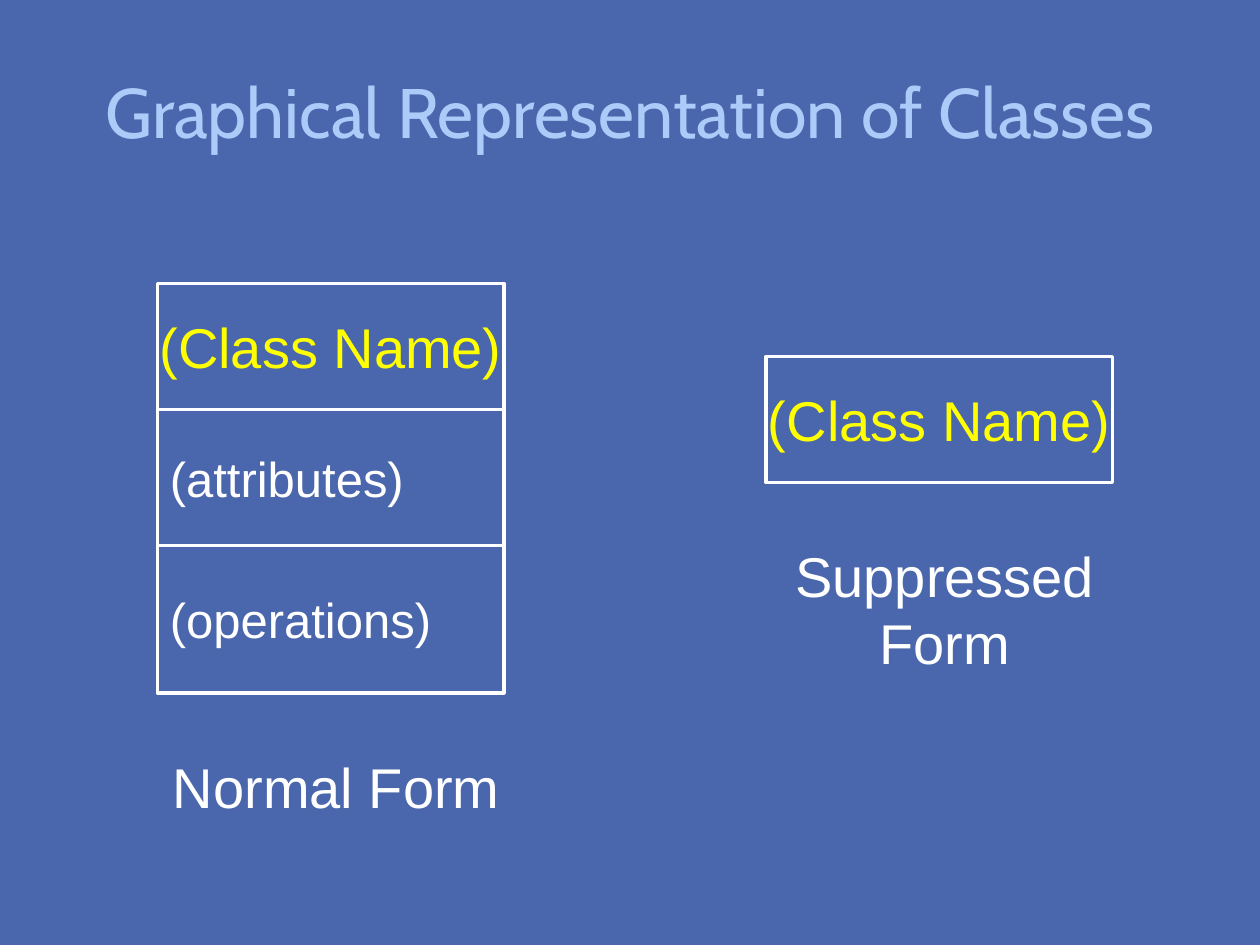
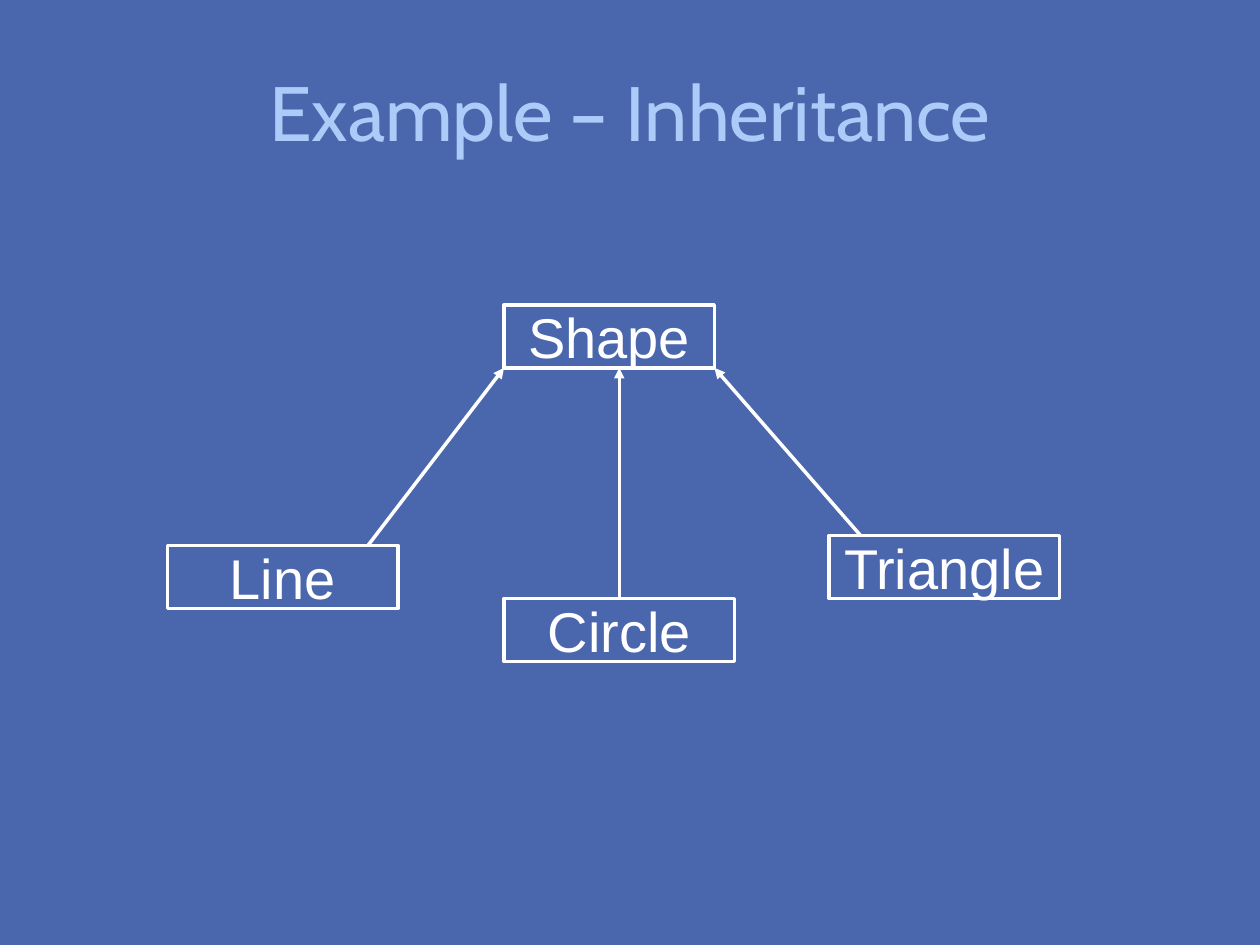
from dataclasses import dataclass

import pptx
import pptx.dml.color
import pptx.enum.shapes
import pptx.enum.text
import pptx.oxml
import pptx.oxml.ns
import pptx.presentation
import pptx.shapes.autoshape
import pptx.slide
import pptx.util
from pptx.util import Inches

Color = pptx.dml.color.RGBColor
Align = pptx.enum.text.PP_ALIGN
Anchor = pptx.enum.text.MSO_ANCHOR


@dataclass(frozen=True)
class Theme:
    background: Color = Color.from_string("4A66AC")
    title: Color = Color.from_string("ACCBF9")
    foreground: Color = Color.from_string("FFFFFF")
    class_name: Color = Color.from_string("FFFF00")
    title_font: str = "Cabin"
    body_font: str = "Arial"
    long_title_size: int = 40
    title_size: int = 44
    label_size: int = 32
    member_size: int = 28
    line_width: int = 2


THEME = Theme()


@dataclass(frozen=True)
class TextStyle:
    size: int = THEME.label_size
    color: Color = THEME.foreground
    font: str = THEME.body_font
    align: Align = Align.CENTER


LABEL = TextStyle()
CLASS_NAME = TextStyle(color=THEME.class_name)
MEMBER = TextStyle(size=THEME.member_size, align=Align.LEFT)


@dataclass(frozen=True)
class Box:
    text: str
    left: float
    top: float
    width: float
    height: float
    style: TextStyle = LABEL

    @property
    def bottom(self) -> float:
        return self.top + self.height

    @property
    def frame(self) -> tuple:
        return tuple(map(Inches, (self.left, self.top, self.width, self.height)))


@dataclass(frozen=True)
class Arrow:
    start: tuple[float, float]
    end: tuple[float, float]


def write_text(
    shape: pptx.shapes.autoshape.Shape, box: Box, wrap: bool, anchor: Anchor
) -> None:
    text_frame = shape.text_frame
    text_frame.word_wrap = wrap
    text_frame.vertical_anchor = anchor
    paragraph = text_frame.paragraphs[0]
    paragraph.alignment = box.style.align
    run = paragraph.add_run()
    run.text = box.text
    run.font.name = box.style.font
    run.font.size = pptx.util.Pt(box.style.size)
    run.font.color.rgb = box.style.color


def add_text(slide: pptx.slide.Slide, box: Box, anchor: Anchor = Anchor.TOP) -> None:
    write_text(slide.shapes.add_textbox(*box.frame), box, True, anchor)


def style_line(line: pptx.dml.line.LineFormat) -> None:
    line.color.rgb = THEME.foreground
    line.width = pptx.util.Pt(THEME.line_width)


def add_class_box(slide: pptx.slide.Slide, box: Box) -> None:
    rectangle = pptx.enum.shapes.MSO_SHAPE.RECTANGLE
    shape = slide.shapes.add_shape(rectangle, *box.frame)
    shape.shadow.inherit = False
    shape.fill.background()
    style_line(shape.line)
    write_text(shape, box, False, Anchor.MIDDLE)


def add_arrow(slide: pptx.slide.Slide, arrow: Arrow) -> None:
    straight = pptx.enum.shapes.MSO_CONNECTOR.STRAIGHT
    points = map(Inches, (*arrow.start, *arrow.end))
    connector = slide.shapes.add_connector(straight, *points)
    style_line(connector.line)
    head = pptx.oxml.parse_xml(
        f'<a:tailEnd {pptx.oxml.ns.nsdecls("a")} type="triangle"/>'
    )
    connector.line._get_or_add_ln().append(head)
    effects = pptx.oxml.parse_xml(f'<a:effectLst {pptx.oxml.ns.nsdecls("a")}/>')
    connector._element.spPr.append(effects)


def add_titled_slide(
    presentation: pptx.presentation.Presentation, title: str, size: int
) -> pptx.slide.Slide:
    slide = presentation.slides.add_slide(presentation.slide_layouts[6])
    style = TextStyle(size, THEME.title, THEME.title_font)
    add_text(slide, Box(title, 0.33, 0.25, 9.34, 1.25, style), Anchor.MIDDLE)
    return slide


def build_class_forms(presentation: pptx.presentation.Presentation) -> None:
    slide = add_titled_slide(
        presentation, "Graphical Representation of Classes", THEME.long_title_size
    )
    width = 2.75
    top = 2.25
    for text, height, style in (
        ("(Class Name)", 1, CLASS_NAME),
        ("(attributes)", 1.08, MEMBER),
        ("(operations)", 1.17, MEMBER),
    ):
        compartment = Box(text, 1.25, top, width, height, style)
        add_class_box(slide, compartment)
        top = compartment.bottom
    add_class_box(slide, Box("(Class Name)", 6.08, 2.83, width, 1, CLASS_NAME))
    add_text(slide, Box("Normal Form", 1.17, 5.92, 3, 0.63))
    add_text(slide, Box("Suppressed Form", 6, 4.25, 3, 1.17))


def build_inheritance(presentation: pptx.presentation.Presentation) -> None:
    slide = add_titled_slide(presentation, "Example – Inheritance", THEME.title_size)
    height = 0.5
    child_width = 1.83
    parent = Box("Shape", 4, 2.42, 1.67, height)
    circle = Box("Circle", 4, 4.75, child_width, height)
    triangle = Box("Triangle", 6.58, 4.25, child_width, height)
    line = Box("Line", 1.33, 4.33, child_width, height)
    for box in (parent, circle, triangle, line):
        add_class_box(slide, box)

    middle = circle.left + circle.width / 2
    parent_right = parent.left + parent.width
    for child, start_x, end_x in (
        (circle, middle, middle),
        (line, 2.92, parent.left),
        (triangle, 6.83, parent_right),
    ):
        add_arrow(slide, Arrow((start_x, child.top), (end_x, parent.bottom)))


def main() -> None:
    presentation = pptx.Presentation()
    presentation.slide_width = Inches(10)
    presentation.slide_height = Inches(7.5)
    background = presentation.slide_master.background.fill
    background.solid()
    background.fore_color.rgb = THEME.background
    build_class_forms(presentation)
    build_inheritance(presentation)
    presentation.save("out.pptx")


if __name__ == "__main__":
    main()
